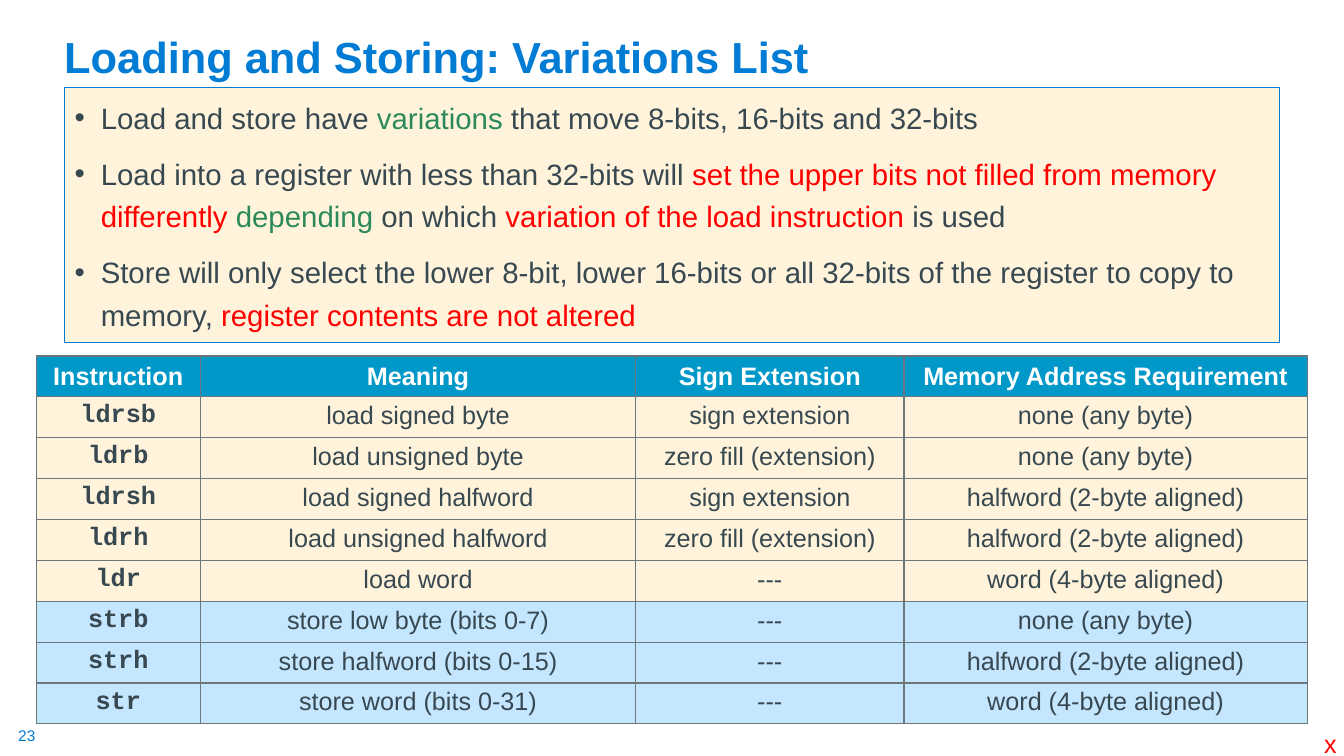
from typing import NamedTuple

from lxml.etree import SubElement
from pptx import Presentation
from pptx.dml.color import RGBColor
from pptx.enum.shapes import MSO_SHAPE
from pptx.enum.text import MSO_ANCHOR as ANCHOR, PP_ALIGN as ALIGN
from pptx.oxml import parse_xml
from pptx.oxml.ns import nsdecls, qn
from pptx.util import Cm, Pt

BLUE = RGBColor(0x00, 0x7C, 0xD5)
TEAL = RGBColor(0x00, 0x98, 0xC9)
CREAM = RGBColor(0xFF, 0xF4, 0xDB)
PALE_BLUE = RGBColor(0xC4, 0xE6, 0xFF)
SLATE = RGBColor(0x38, 0x48, 0x51)
GREEN = RGBColor(0x2C, 0x89, 0x5B)
RED = RGBColor(0xFF, 0x00, 0x00)
GREY = RGBColor(0x6B, 0x76, 0x7D)
WHITE = RGBColor(0xFF, 0xFF, 0xFF)

BODY_FONT = "Arial"
CODE_FONT = "Courier New"


class Span(NamedTuple):
    text: str
    color: RGBColor = SLATE


class Label(NamedTuple):
    text: str
    left: float
    top: float
    width: float
    height: float
    size: float
    color: RGBColor
    bold: bool = False
    wrap: bool = False
    anchor: ANCHOR = ANCHOR.TOP
    inset: bool = True
    line_spacing: float = 1.0


class Instruction(NamedTuple):
    name: str
    meaning: str
    extension: str
    alignment: str


PAGE_NUMBER = Label("23", 0.46, 18.31, 0.48, 0.48, 11, BLUE, inset=False)
TITLE = Label("Loading and Storing: Variations List", 1.37, 0.23, 29.21, 1.98, 31, BLUE,
              bold=True, wrap=True, anchor=ANCHOR.BOTTOM, line_spacing=0.9)
CORNER_MARK = Label("x", 33.12, 18.24, 0.84, 1.02, 18, RED)

BULLETS = [
    [Span("Load and store have "), Span("variations", GREEN),
     Span(" that move 8-bits, 16-bits and 32-bits")],
    [Span("Load into a register with less than 32-bits will "),
     Span("set the upper bits not filled from memory differently", RED),
     Span(" depending ", GREEN), Span("on which "),
     Span("variation of the load instruction ", RED), Span("is used")],
    [Span("Store will only select the lower 8-bit, lower 16-bits or all 32-bits "
          "of the register to copy to memory, "),
     Span("register contents are not altered", RED)],
]

ANY_BYTE = "none (any byte)"
HALFWORD = "halfword (2-byte aligned)"
WORD = "word (4-byte aligned)"
SIGN = "sign extension"
ZERO = "zero fill (extension)"
NO_EXTENSION = "---"

HEADINGS = ["Instruction", "Meaning", "Sign Extension", "Memory Address Requirement"]
COLUMN_WIDTHS = [4.14, 10.97, 6.76, 10.16]
ROW_HEIGHT = 1.03
LOADS = [
    Instruction("ldrsb", "load signed byte", SIGN, ANY_BYTE),
    Instruction("ldrb", "load unsigned byte", ZERO, ANY_BYTE),
    Instruction("ldrsh", "load signed halfword", SIGN, HALFWORD),
    Instruction("ldrh", "load unsigned halfword", ZERO, HALFWORD),
    Instruction("ldr", "load word", NO_EXTENSION, WORD),
]
STORES = [
    Instruction("strb", "store low byte (bits 0-7)", NO_EXTENSION, ANY_BYTE),
    Instruction("strh", "store halfword (bits 0-15)", NO_EXTENSION, HALFWORD),
    Instruction("str", "store word (bits 0-31)", NO_EXTENSION, WORD),
]


def add_run(p, text: str, size: float, color: RGBColor,
            bold: bool = False, font: str = BODY_FONT) -> None:
    r = p.add_run()
    r.text = text
    r.font.size = Pt(size)
    r.font.name = font
    r.font.bold = bold
    r.font.color.rgb = color


def add_label(s, label: Label) -> None:
    sp = s.shapes.add_textbox(Cm(label.left), Cm(label.top), Cm(label.width), Cm(label.height))
    tf = sp.text_frame
    tf.word_wrap = label.wrap
    tf.vertical_anchor = label.anchor
    if not label.inset:
        tf.margin_left = tf.margin_right = tf.margin_top = tf.margin_bottom = 0
    p = tf.paragraphs[0]
    p.line_spacing = label.line_spacing
    add_run(p, label.text, label.size, label.color, label.bold)


def set_bullet(p) -> None:
    pPr = p._p.get_or_add_pPr()
    pPr.set("marL", str(Cm(0.66)))
    pPr.set("indent", str(-Cm(0.66)))
    SubElement(pPr, qn("a:buFont")).set("typeface", BODY_FONT)
    SubElement(pPr, qn("a:buChar")).set("char", "•")


def add_bullet_box(s) -> None:
    sp = s.shapes.add_shape(MSO_SHAPE.RECTANGLE, Cm(1.63), Cm(2.21), Cm(30.61), Cm(6.43))
    sp.shadow.inherit = False
    sp.fill.solid()
    sp.fill.fore_color.rgb = CREAM
    sp.line.color.rgb = BLUE
    sp.line.width = Pt(0.75)
    tf = sp.text_frame
    tf.word_wrap = True
    tf.vertical_anchor = ANCHOR.TOP
    for i, spans in enumerate(BULLETS):
        p = tf.add_paragraph() if i else tf.paragraphs[0]
        p.alignment = ALIGN.LEFT
        p.line_spacing = 1.2
        p.space_before = Pt(10)
        set_bullet(p)
        for span in spans:
            add_run(p, span.text, 21, span.color)


def set_borders(cell) -> None:
    tcPr = cell._tc.get_or_add_tcPr()
    for i, side in enumerate(("lnL", "lnR", "lnT", "lnB")):
        tcPr.insert(i, parse_xml(
            f'<a:{side} {nsdecls("a")} w="{Pt(1)}"><a:solidFill>'
            f'<a:srgbClr val="{GREY}"/></a:solidFill></a:{side}>'))


def fill_cell(cell, text: str, fill: RGBColor, color: RGBColor = SLATE, bold: bool = False,
              font: str = BODY_FONT, anchor: ANCHOR = ANCHOR.TOP) -> None:
    cell.fill.solid()
    cell.fill.fore_color.rgb = fill
    cell.vertical_anchor = anchor
    set_borders(cell)
    p = cell.text_frame.paragraphs[0]
    p.alignment = ALIGN.CENTER
    add_run(p, text, 18, color, bold, font)


def add_instruction_table(s) -> None:
    instructions = LOADS + STORES
    n_rows = len(instructions) + 1
    table = s.shapes.add_table(n_rows, len(HEADINGS), Cm(0.91), Cm(8.97),
                               Cm(sum(COLUMN_WIDTHS)), Cm(n_rows * ROW_HEIGHT)).table
    for column, width in zip(table.columns, COLUMN_WIDTHS):
        column.width = Cm(width)
    for row in table.rows:
        row.height = Cm(ROW_HEIGHT)
    for col, heading in enumerate(HEADINGS):
        fill_cell(table.cell(0, col), heading, TEAL, WHITE, bold=True, anchor=ANCHOR.MIDDLE)
    for row, instruction in enumerate(instructions, start=1):
        fill = CREAM if row <= len(LOADS) else PALE_BLUE
        for col, text in enumerate(instruction):
            is_name = col == 0
            fill_cell(table.cell(row, col), text, fill, bold=is_name,
                      font=CODE_FONT if is_name else BODY_FONT)


def main() -> None:
    prs = Presentation()
    prs.slide_width = Cm(33.87)
    prs.slide_height = Cm(19.05)
    s = prs.slides.add_slide(prs.slide_layouts[6])
    add_label(s, PAGE_NUMBER)
    add_bullet_box(s)
    add_label(s, TITLE)
    add_instruction_table(s)
    add_label(s, CORNER_MARK)
    prs.save("out.pptx")


if __name__ == "__main__":
    main()
